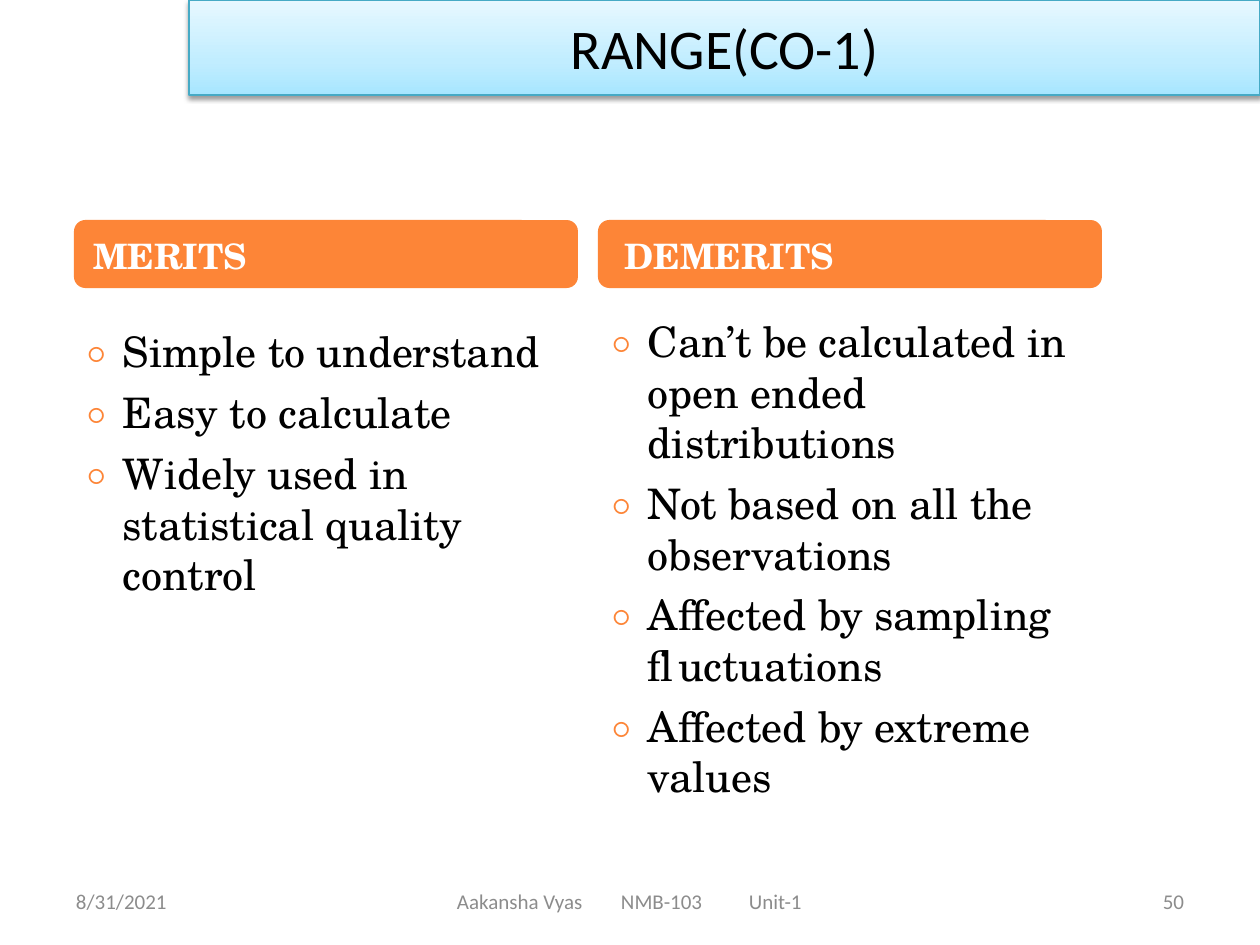
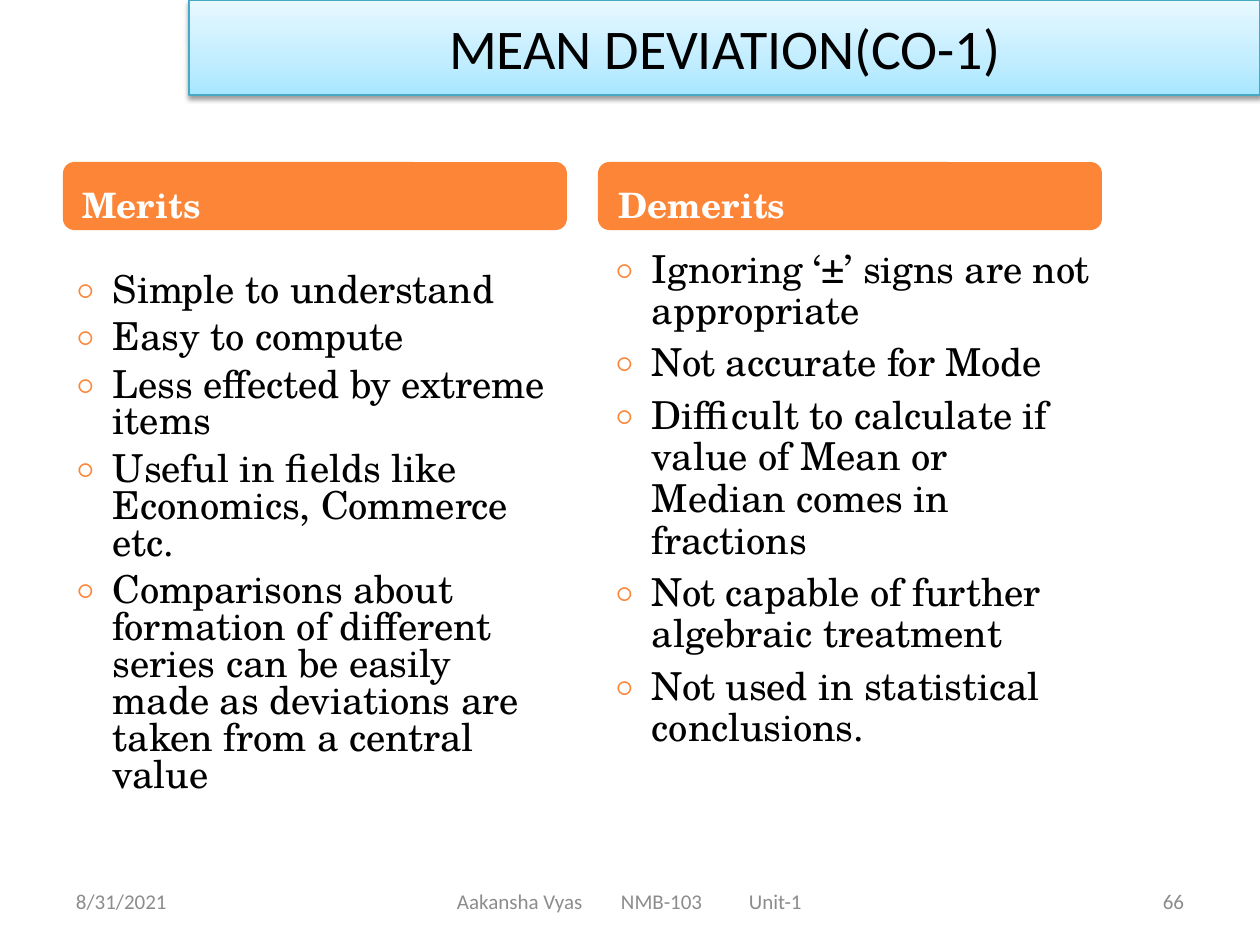
from lxml.etree import SubElement
from pptx import Presentation
from pptx.dml.color import RGBColor
from pptx.enum.shapes import MSO_SHAPE
from pptx.enum.text import MSO_ANCHOR, PP_ALIGN
from pptx.oxml.ns import qn
from pptx.util import Emu, Pt

SERIF, SANS = "TeX Gyre Schola", "Calibri"
ORANGE, BLACK, WHITE, GREY, TEAL = "FD8537", "000000", "FFFFFF", "8C8C8C", "46AAC5"
GRADIENT = [(0, "A7E6FF"), (35, "C1EDFF"), (100, "E7F8FF")]
BAND_W, BAND_H = 504, 68
HANG = 37

SLIDES = [
    dict(title="RANGE(CO-1)", number="50", band_y=220, pad_top=11, size=24, columns=[
        dict(x=74, pad=16, head="MERITS", box=(84, 326, 464, 275), leading=None, items=[
            "Simple to understand", "Easy to calculate",
            "Widely used in statistical quality control"]),
        dict(x=598, pad=23, head="DEMERITS", box=(609, 316, 464, 490), leading=None, items=[
            "Can’t be calculated in open ended distributions",
            "Not based on all the observations",
            "Affected by sampling fluctuations",
            "Affected by extreme values"])]),
    dict(title="MEAN DEVIATION(CO-1)", number="66", band_y=162, pad_top=18, size=22, columns=[
        dict(x=63, pad=16, head="Merits", box=(74, 274, 480, 526), leading=21.1, items=[
            "Simple to understand", "Easy to compute", "Less effected by extreme items",
            "Useful in fields like Economics, Commerce etc.",
            "Comparisons about formation of different series can be easily\v"
            "made as deviations are taken from a central value"]),
        dict(x=598, pad=17, head="Demerits", box=(613, 249, 485, 510), leading=23.8, items=[
            "Ignoring ‘±’ signs are not appropriate", "Not accurate for Mode",
            "Difficult to calculate if value of Mean or\vMedian comes in fractions",
            "Not capable of further algebraic treatment",
            "Not used in statistical conclusions."])]),
]


def px(n):
    """Turn pixels at 126 to the inch into EMU."""
    return Emu(round(n * 914400 / 126))


def color(value):
    """Return the colour of a hex string."""
    return RGBColor.from_string(value)


def write(tf, paras, font=SERIF, size=20, fill=BLACK, bold=False, align=PP_ALIGN.LEFT,
          anchor=MSO_ANCHOR.TOP, margins=(0, 0, 0, 0), gap=0, leading=None,
          bullet=False, tabs=(), spacing=0):
    """Fill a text frame with formatted paragraphs."""
    tf.word_wrap = True
    tf.vertical_anchor = anchor
    tf.margin_left, tf.margin_top, tf.margin_right, tf.margin_bottom = map(px, margins)
    for i, text in enumerate(paras):
        p = tf.paragraphs[0] if i == 0 else tf.add_paragraph()
        p.text = text
        p.alignment = align
        p.space_before = Pt(gap if i else 0)
        if leading:
            p.line_spacing = Pt(leading)
        pPr = p._p.get_or_add_pPr()
        if bullet:
            pPr.set("marL", str(px(HANG + 2)))
            pPr.set("indent", str(-px(HANG)))
            clr = SubElement(pPr, qn("a:buClr"))
            SubElement(clr, qn("a:srgbClr"), val=ORANGE)
            SubElement(pPr, qn("a:buSzPct"), val="69000")
            SubElement(pPr, qn("a:buFont"), typeface=SERIF)
            SubElement(pPr, qn("a:buChar"), char="○")
        if tabs:
            stops = SubElement(pPr, qn("a:tabLst"))
            for pos in tabs:
                SubElement(stops, qn("a:tab"), pos=str(px(pos)), algn="l")
        for r in p.runs:
            r.font.name, r.font.size, r.font.bold = font, Pt(size), bold
            r.font.color.rgb = color(fill)
            if spacing:
                r._r.get_or_add_rPr().set("spc", str(spacing))


def text_box(s, box, paras, **fmt):
    """Add a text box with formatted paragraphs."""
    write(s.shapes.add_textbox(*map(px, box)).text_frame, paras, **fmt)


def title_bar(s, box, title):
    """Draw the gradient title bar with its shadow."""
    sp = s.shapes.add_shape(MSO_SHAPE.RECTANGLE, *map(px, box))
    sp.fill.gradient()
    sp.fill.gradient_angle = 90
    stops = sp._element.spPr.find(".//" + qn("a:gsLst"))
    stops.clear()
    for pos, value in GRADIENT:
        gs = SubElement(stops, qn("a:gs"), pos=str(pos * 1000))
        SubElement(gs, qn("a:srgbClr"), val=value)
    sp.line.color.rgb = color(TEAL)
    sp.line.width = Pt(0.75)
    sp.shadow.inherit = False
    effects = sp._element.spPr.find(qn("a:effectLst"))
    shadow = SubElement(effects, qn("a:outerShdw"), blurRad=str(Pt(3.1)),
                        dist=str(Pt(1.6)), dir="5400000", rotWithShape="0")
    clr = SubElement(shadow, qn("a:srgbClr"), val=BLACK)
    SubElement(clr, qn("a:alpha"), val="38000")
    write(sp.text_frame, [title], font=SANS, size=32, align=PP_ALIGN.CENTER,
          anchor=MSO_ANCHOR.MIDDLE, spacing=-5)


def column(s, col, band_y, pad_top, size):
    """Draw an orange heading band and the bulleted list below it."""
    band = s.shapes.add_shape(MSO_SHAPE.ROUNDED_RECTANGLE,
                              *map(px, (col["x"], band_y, BAND_W, BAND_H)))
    band.shadow.inherit = False
    band.fill.solid()
    band.fill.fore_color.rgb = color(ORANGE)
    band.line.fill.background()
    write(band.text_frame, [col["head"]], fill=WHITE, bold=True,
          margins=(col["pad"], pad_top, 0, 0))
    text_box(s, col["box"], col["items"], size=size, gap=6, leading=col["leading"],
             bullet=True, spacing=-5)


def footer(s, y, h, number):
    """Write the date, the course line and the slide number."""
    fmt = dict(font=SANS, size=12, fill=GREY, anchor=MSO_ANCHOR.MIDDLE)
    text_box(s, (63, y, 294, h), ["8/31/2021"], margins=(13, 6, 13, 6), **fmt)
    text_box(s, (431, y, 399, h), ["Aakansha Vyas\tNMB-103\tUnit-1"],
             margins=(26, 6, 13, 6), tabs=(164, 292), **fmt)
    text_box(s, (903, y, 294, h), [number], margins=(13, 6, 13, 6),
             align=PP_ALIGN.RIGHT, **fmt)


def comparison_slide(prs, data):
    """Add a slide that sets merits beside demerits."""
    s = prs.slides.add_slide(prs.slide_layouts[6])
    for col in data["columns"]:
        column(s, col, data["band_y"], data["pad_top"], data["size"])
    title_bar(s, (189, 0, 1071, 95), data["title"])
    footer(s, 876, 50, data["number"])


def main():
    """Build and save the presentation."""
    prs = Presentation()
    prs.slide_width, prs.slide_height = px(1260), px(945)
    for data in SLIDES:
        comparison_slide(prs, data)
    prs.save("out.pptx")


if __name__ == "__main__":
    main()
